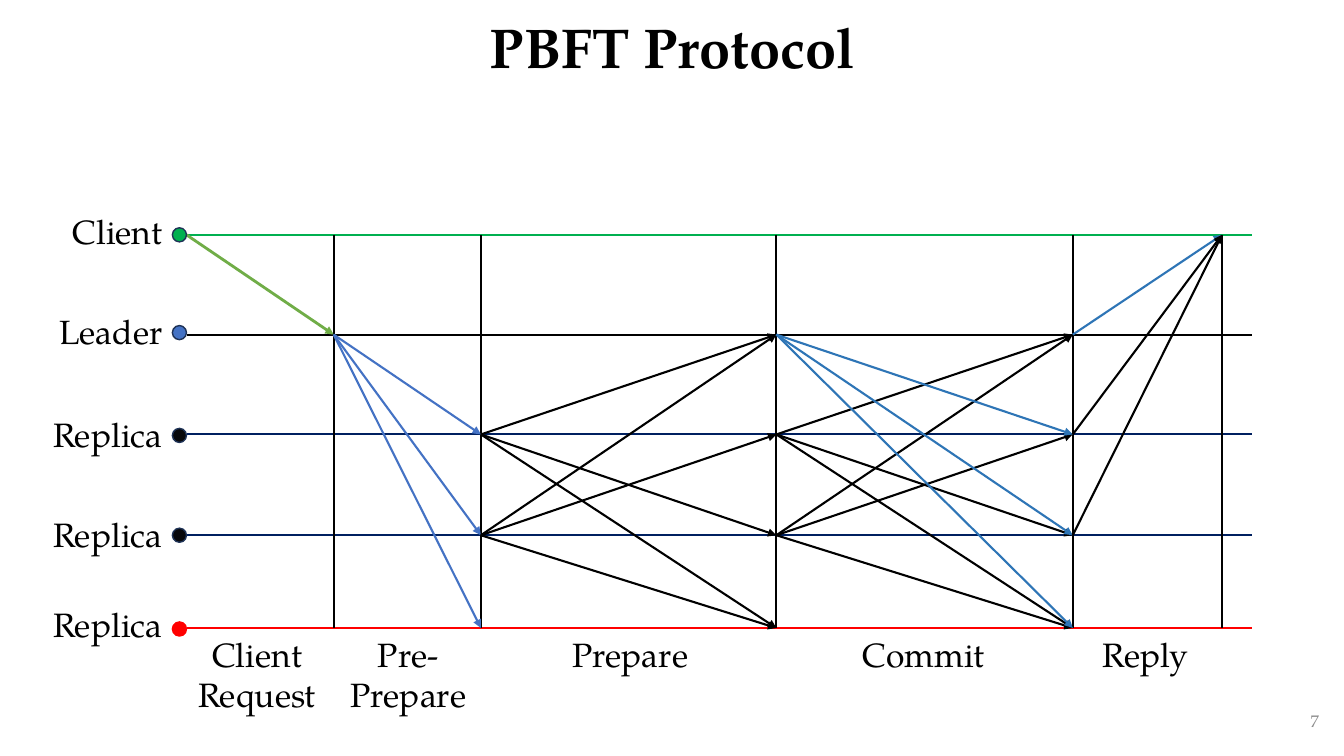
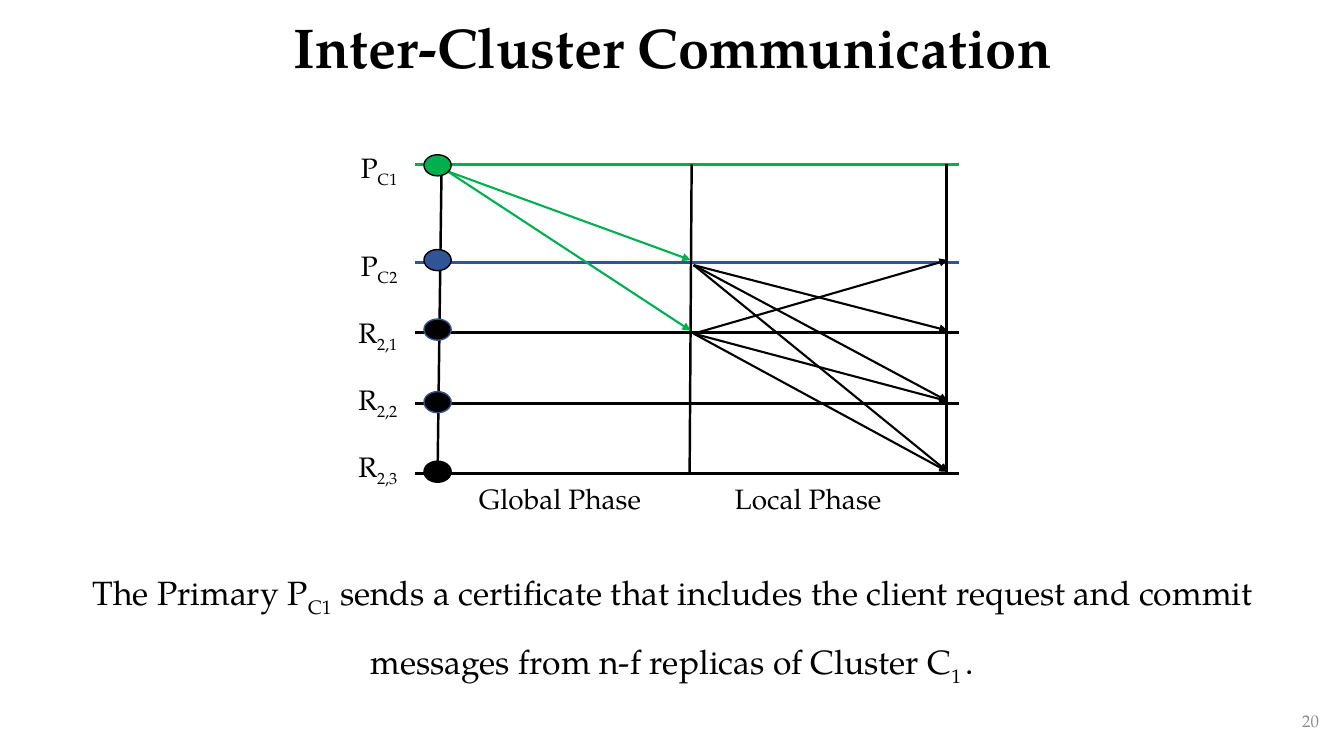
from dataclasses import dataclass

from lxml import etree
from pptx import Presentation
from pptx import util as u
from pptx.dml.color import RGBColor
from pptx.enum import shapes, text
from pptx.oxml import ns

Inches = u.Inches
LEFT, CENTER, RIGHT = text.PP_ALIGN.LEFT, text.PP_ALIGN.CENTER, text.PP_ALIGN.RIGHT


@dataclass(frozen=True)
class Theme:
    font: str = "TeX Gyre Pagella"
    black: str = "000000"
    grey: str = "8C8C8C"
    green: str = "00B050"
    request: str = "70AD47"
    blue: str = "4472C4"
    leader: str = "2E75B6"
    cluster: str = "2F5597"
    navy: str = "002060"
    ink: str = "07080B"
    red: str = "FF0000"
    rim: str = "1E3256"
    cluster_rim: str = "325491"
    title: int = 40
    body: int = 24
    label: int = 20
    number: int = 12
    thin: float = 1.5
    column: float = 1.75
    request_line: float = 2
    thick: float = 2.25


T = Theme()

# lane: label, label top, line y, line colour, dot y, dot fill, dot rim
PBFT = dict(
    title="PBFT Protocol",
    number="7",
    lanes=[
        ("Client", 2.04, 2.33, T.green, 2.33, T.green, T.rim),
        ("Leader", 3.04, 3.32, T.black, 3.3, T.blue, T.rim),
        ("Replica", 4.06, 4.31, T.navy, 4.32, T.ink, T.rim),
        ("Replica", 5.05, 5.31, T.navy, 5.31, T.ink, T.rim),
        ("Replica", 5.94, 6.23, T.red, 6.24, T.red, T.red),
    ],
    columns=[3.31, 4.77, 7.7, 10.64, 12.12],
    phases=[("Client\nRequest", 1.83, 0.91), ("Pre-Prepare", 3.33, 0.91),
            ("Prepare", 5.53, 0.5), ("Commit", 8.44, 0.5), ("Reply", 10.64, 0.5)],
    # start column, sending lane, receiving lanes, colour
    messages=[
        (0, 1, (2, 3, 4), T.blue),
        (1, 2, (1, 3, 4), T.black),
        (1, 3, (1, 2, 4), T.black),
        (2, 2, (1, 3, 4), T.black),
        (2, 3, (1, 2, 4), T.black),
        (2, 1, (2, 3, 4), T.leader),
        (3, 1, (0,), T.leader),
        (3, 2, (0,), T.black),
        (3, 3, (0,), T.black),
    ],
)

CLUSTER = dict(
    title="Inter-Cluster Communication",
    number="20",
    lanes=[
        (("P", "C1"), 1.44, 1.63, T.green, 1.64, T.green, T.black),
        (("P", "C2"), 2.42, 2.6, T.cluster, 2.58, T.cluster, T.black),
        (("R", "2,1"), 3.08, 3.3, T.black, 3.27, T.black, T.cluster_rim),
        (("R", "2,2"), 3.75, 4, T.black, 3.99, T.black, T.cluster_rim),
        (("R", "2,3"), 4.41, 4.7, T.black, 4.68, T.black, T.black),
    ],
    columns=[(4.38, 4.34), (6.86, 6.84), (9.39, 9.39)],
    phases=[("Global Phase", 4.64, 1.83), ("Local Phase", 7.18, 1.67)],
    # start x, end x, sending lane, receiving lanes, start drop, colour
    messages=[
        (4.44, 6.85, 0, (1, 2), 0.07, T.green),
        (6.88, 9.4, 1, (2, 3, 4), 0.03, T.black),
        (6.88, 9.4, 2, (1, 3, 4), 0.01, T.black),
    ],
    caption=("The Primary P", "C1",
             " sends a certificate that includes the client request and commit"
             " messages from n-f replicas of Cluster C", "1 ", "."),
)


def color(value):
    """Turn a hex string into a colour."""
    return RGBColor.from_string(value)


def style_run(run, size, ink=T.black, bold=False, sub=False):
    """Apply the deck's type style to a run."""
    font = run.font
    font.name, font.size, font.bold = T.font, u.Pt(size), bold
    font.color.rgb = color(ink)
    if sub:
        run._r.get_or_add_rPr().set("baseline", "-25000")


def write(slide, content, box, size, align=LEFT, wrap=True, ink=T.black):
    """Add a text box; in a tuple every second piece is a subscript."""
    frame = slide.shapes.add_textbox(*map(Inches, box)).text_frame
    frame.word_wrap = wrap
    if isinstance(content, str):
        frame.text = content
    else:
        for piece in content:
            frame.paragraphs[0].add_run().text = piece
    for paragraph in frame.paragraphs:
        paragraph.alignment = align
        for index, run in enumerate(paragraph.runs):
            style_run(run, size, ink, sub=index % 2 == 1)
    return frame


def line(slide, start, end, ink=T.black, width=T.thin, arrow=False):
    """Draw a straight line or arrow between two points."""
    link = slide.shapes.add_connector(
        shapes.MSO_CONNECTOR.STRAIGHT, *map(Inches, (*start, *end)))
    link.line.color.rgb = color(ink)
    link.line.width = u.Pt(width)
    if arrow:
        etree.SubElement(link.line._get_or_add_ln(), ns.qn("a:tailEnd"), type="triangle")
    etree.SubElement(link._element.spPr, ns.qn("a:effectLst"))


def dot(slide, x, y, width, height, fill, rim):
    """Draw an ellipse centred on a point."""
    node = slide.shapes.add_shape(
        shapes.MSO_SHAPE.OVAL,
        *map(Inches, (x - width / 2, y - height / 2, width, height)))
    node.shadow.inherit = False
    node.fill.solid()
    node.fill.fore_color.rgb = color(fill)
    node.line.color.rgb = color(rim)
    node.line.width = u.Pt(1)


def new_slide(deck, content):
    """Add a slide with its title and page number."""
    slide = deck.slides.add_slide(deck.slide_layouts[5])
    title = slide.shapes.title
    title.left, title.top, title.width, title.height = map(Inches, (0.92, 0, 11.5, 0.99))
    title.text_frame.text = content["title"]
    title.text_frame.vertical_anchor = text.MSO_ANCHOR.MIDDLE
    heading = title.text_frame.paragraphs[0]
    heading.alignment, heading.line_spacing = CENTER, 0.9
    style_run(heading.runs[0], T.title, bold=True)
    number = write(slide, content["number"], (10.18, 6.95, 3, 0.4), T.number, RIGHT, ink=T.grey)
    number.vertical_anchor = text.MSO_ANCHOR.MIDDLE
    return slide


def draw_lanes(slide, lanes, span, label, dot_x, dot_size, size, width, wrap):
    """Draw the labelled horizontal lanes and return their dots for later."""
    left, label_width, label_height = label
    for name, top, y, ink, *_ in lanes:
        line(slide, (span[0], y), (span[1], y), ink, width)
        write(slide, name, (left, top, label_width, label_height), size, RIGHT, wrap)
    return [(dot_x, dot_y, *dot_size, fill, rim) for *_, dot_y, fill, rim in lanes]


def pbft_slide(deck):
    """Build the protocol slide."""
    slide = new_slide(deck, PBFT)
    lanes, columns = PBFT["lanes"], PBFT["columns"]
    ys = [lane[2] for lane in lanes]
    dots = draw_lanes(slide, lanes, (1.85, 12.42), (0.35, 1.36, 0.5),
                      1.78, (0.14, 0.14), T.body, T.thin, True)
    for x in columns:
        line(slide, (x, ys[0]), (x, ys[-1]))
    line(slide, (1.85, ys[0]), (columns[0], ys[1]), T.request, T.request_line, True)
    for column, sender, receivers, ink in PBFT["messages"]:
        for receiver in receivers:
            line(slide, (columns[column], ys[sender]),
                 (columns[column + 1], ys[receiver]), ink, arrow=True)
    for name, left, height in PBFT["phases"]:
        write(slide, name, (left, 6.24, 1.44, height), T.body, CENTER)
    for place in dots:
        dot(slide, *place)


def cluster_slide(deck):
    """Build the inter-cluster slide."""
    slide = new_slide(deck, CLUSTER)
    lanes = CLUSTER["lanes"]
    ys = [lane[2] for lane in lanes]
    dots = draw_lanes(slide, lanes, (4.12, 9.51), (3.42, 0.62, 0.44),
                      4.34, (0.27, 0.21), T.label, T.thick, False)
    for top_x, bottom_x in CLUSTER["columns"]:
        line(slide, (top_x, ys[0]), (bottom_x, ys[-1]), width=T.column)
    for start, end, sender, receivers, drop, ink in CLUSTER["messages"]:
        for receiver in receivers:
            line(slide, (start, ys[sender] + drop), (end, ys[receiver] - 0.02), ink, arrow=True)
    for name, left, width in CLUSTER["phases"]:
        write(slide, name, (left, 4.73, width, 0.44), T.label, CENTER, False)
    for place in dots:
        dot(slide, *place)
    caption = write(slide, CLUSTER["caption"], (0.35, 5.4, 12.64, 1.25), T.body, CENTER)
    caption.paragraphs[0].line_spacing = 1.5
    caption.paragraphs[0].space_before = u.Pt(10)


def main():
    """Build and save the deck."""
    deck = Presentation()
    deck.slide_width, deck.slide_height = Inches(13.33), Inches(7.5)
    pbft_slide(deck)
    cluster_slide(deck)
    deck.save("out.pptx")


if __name__ == "__main__":
    main()
